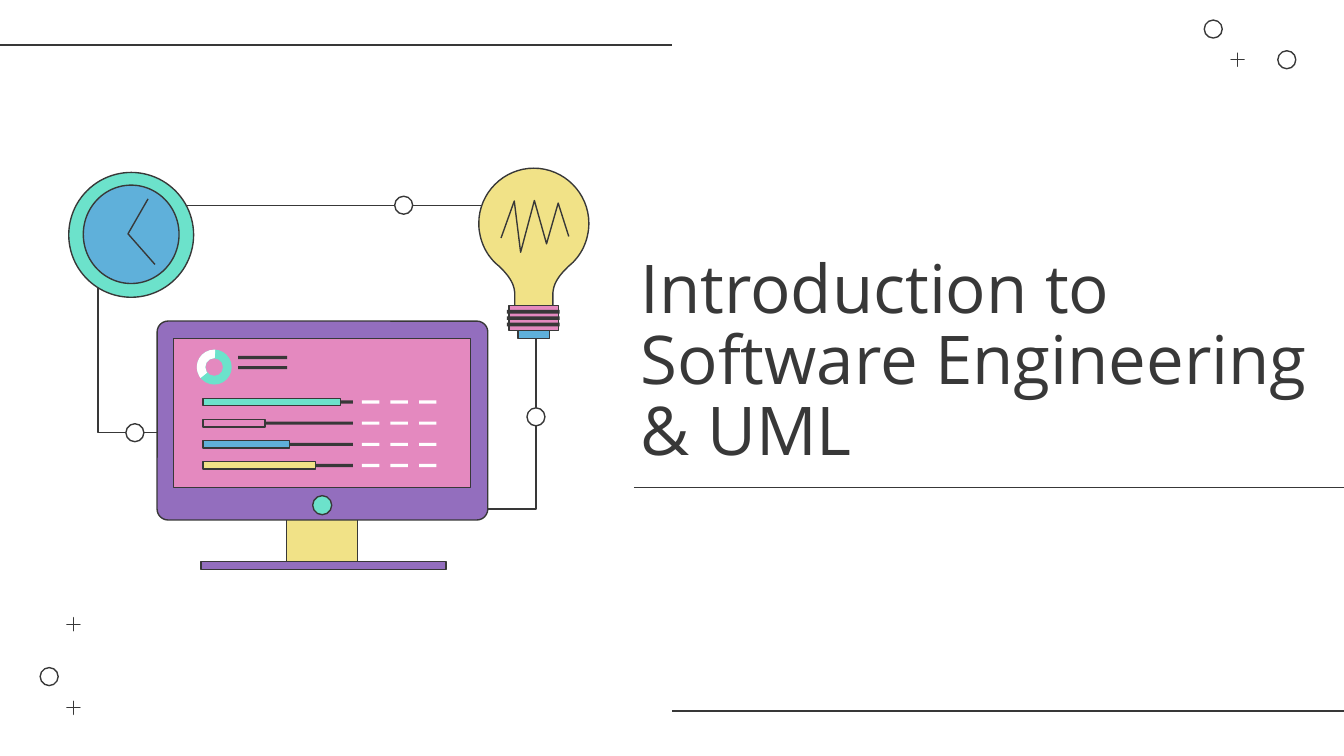
from dataclasses import dataclass

from lxml import etree
from pptx import Presentation
from pptx.dml.color import RGBColor
from pptx.enum.shapes import MSO_CONNECTOR, MSO_SHAPE
from pptx.enum.text import MSO_ANCHOR
from pptx.oxml.ns import qn
from pptx.util import Cm, Pt

RECT, OVAL, PLUS = MSO_SHAPE.RECTANGLE, MSO_SHAPE.OVAL, MSO_SHAPE.MATH_PLUS
ROUNDED, DONUT, ARC = MSO_SHAPE.ROUNDED_RECTANGLE, MSO_SHAPE.DONUT, MSO_SHAPE.BLOCK_ARC
STRAIGHT = MSO_CONNECTOR.STRAIGHT
BOTTOM = MSO_ANCHOR.BOTTOM

INK, WHITE = "383838", "FFFFFF"
TEAL, BLUE, PINK = "6CE2CB", "5FB0DA", "E489BF"
YELLOW, PURPLE = "F1E287", "936EBE"
MARK = 0.34  # size of the small circles and plus signs

Point = tuple[float, float]


@dataclass
class Mark:
    kind: int
    left: float
    top: float


@dataclass
class ProgressRow:
    width: float
    color: str


TOP_MARKS = [Mark(OVAL, 22.76, 0.38), Mark(PLUS, 23.22, 0.96), Mark(OVAL, 24.15, 0.96)]
BOTTOM_MARKS = [Mark(OVAL, 0.76, 12.62), Mark(PLUS, 1.22, 13.21), Mark(PLUS, 1.22, 11.63)]
ROWS = [ProgressRow(2.6, TEAL), ProgressRow(1.17, PINK),
        ProgressRow(1.63, BLUE), ProgressRow(2.13, YELLOW)]


def rgb(color: str) -> RGBColor:
    return RGBColor.from_string(color)


def style(sp, fill: str | None, line: str | None) -> None:
    sp.shadow.inherit = False
    if fill:
        sp.fill.solid()
        sp.fill.fore_color.rgb = rgb(fill)
    else:
        sp.fill.background()
    if line:
        sp.line.color.rgb = rgb(line)
        sp.line.width = Pt(0.75)
    else:
        sp.line.fill.background()


def add_shape(shapes, kind: int, left: float, top: float, width: float, height: float,
              fill: str | None = None, line: str | None = INK,
              adjust: tuple[float, ...] = ()):
    sp = shapes.add_shape(kind, Cm(left), Cm(top), Cm(width), Cm(height))
    for i, value in enumerate(adjust):
        sp.adjustments[i] = value
    style(sp, fill, line)
    return sp


def add_oval(shapes, cx: float, cy: float, width: float, height: float, fill: str):
    return add_shape(shapes, OVAL, cx - width / 2, cy - height / 2, width, height, fill)


def add_line(shapes, x1: float, y1: float, x2: float, y2: float) -> None:
    line = shapes.add_connector(STRAIGHT, Cm(x1), Cm(y1), Cm(x2), Cm(y2))
    line.line.color.rgb = rgb(INK)
    line.line.width = Pt(0.75)
    etree.SubElement(line._element.spPr, qn("a:effectLst"))


def add_path(shapes, points: list[Point], fill: str | None = None) -> None:
    emu = [(Cm(x), Cm(y)) for x, y in points]
    builder = shapes.build_freeform(*emu[0])
    builder.add_line_segments(emu[1:], close=fill is not None)
    style(builder.convert_to_shape(), fill, INK)


def curve(p0: Point, p1: Point, p2: Point, p3: Point, steps: int = 16) -> list[Point]:
    """Points along a cubic Bezier curve."""
    points = []
    for i in range(steps + 1):
        t = i / steps
        weights = ((1 - t) ** 3, 3 * t * (1 - t) ** 2, 3 * t * t * (1 - t), t ** 3)
        points.append(tuple(sum(w * p[k] for w, p in zip(weights, (p0, p1, p2, p3)))
                            for k in (0, 1)))
    return points


def add_marks(s, marks: list[Mark]) -> None:
    shapes = s.shapes.add_group_shape().shapes
    for m in marks:
        add_shape(shapes, m.kind, m.left, m.top, MARK, MARK,
                  adjust=(0,) if m.kind == PLUS else ())


def add_title(s, text: str) -> None:
    tf = s.shapes.add_textbox(Cm(11.86), Cm(2.08), Cm(13.21), Cm(6.93)).text_frame
    tf.word_wrap = True
    tf.vertical_anchor = BOTTOM
    tf.margin_left = tf.margin_right = tf.margin_top = Cm(0.25)
    tf.margin_bottom = Cm(0.14)
    p = tf.paragraphs[0]
    p.text = text
    p.line_spacing = 0.88
    p.font.name = "Open Sans"
    p.font.size = Pt(36)
    p.font.color.rgb = rgb(INK)


def draw_links(shapes) -> None:
    add_line(shapes, 3.53, 3.88, 9.6, 3.88)
    add_path(shapes, [(8.13, 9.62), (10.13, 9.62), (10.13, 5.61)])
    add_path(shapes, [(1.85, 5.36), (1.85, 8.18), (5.08, 8.18)])
    for cx, cy in [(2.55, 8.18), (7.63, 3.88), (10.13, 7.88)]:
        add_oval(shapes, cx, cy, MARK, MARK, WHITE)


def draw_monitor(shapes) -> None:
    add_shape(shapes, RECT, 5.42, 9.6, 1.34, 1.04, YELLOW)
    add_shape(shapes, RECT, 3.8, 10.62, 4.63, 0.15, PURPLE)
    add_shape(shapes, ROUNDED, 2.97, 6.07, 6.25, 3.76, PURPLE, adjust=(0.055,))
    add_shape(shapes, RECT, 3.28, 6.4, 5.61, 2.82, PINK)
    add_oval(shapes, 6.09, 9.55, 0.36, 0.36, TEAL)


def draw_bulb(shapes) -> None:
    axis = 10.09
    # Right half of the outline, as distances from the axis
    half = (curve((0, 3.18), (0.57, 3.18), (1.04, 3.65), (1.04, 4.22))
            + curve((1.04, 4.22), (1.04, 4.55), (0.89, 4.85), (0.66, 5.03))
            + curve((0.66, 5.03), (0.58, 5.11), (0.51, 5.18), (0.46, 5.26))
            + curve((0.46, 5.26), (0.4, 5.35), (0.36, 5.45), (0.36, 5.57))
            + [(0.36, 5.81)])
    right = [(axis + x, y) for x, y in half]
    left = [(axis - x, y) for x, y in reversed(half)]
    add_path(shapes, right + left[:-1], YELLOW)
    # Socket with its dark bands
    add_shape(shapes, RECT, 9.79, 6.2, 0.6, 0.2, BLUE)
    add_shape(shapes, RECT, 9.62, 5.78, 0.94, 0.47, PINK)
    for i in range(3):
        add_shape(shapes, RECT, 9.58, 5.86 + 0.12 * i, 1, 0.07, INK, None)
    # Filament
    add_path(shapes, [(9.47, 4.5), (9.72, 3.8), (9.84, 4.77), (10.1, 3.79),
                      (10.33, 4.61), (10.55, 3.84), (10.75, 4.47)])


def draw_clock(shapes) -> None:
    add_oval(shapes, 2.48, 4.44, 2.36, 2.36, TEAL)
    add_oval(shapes, 2.48, 4.43, 1.81, 1.86, BLUE)
    add_path(shapes, [(2.8, 3.76), (2.42, 4.42), (2.93, 5)])


def draw_dashboard(shapes) -> None:
    # Ring and caption
    add_shape(shapes, DONUT, 3.72, 6.61, 0.66, 0.66, TEAL, None, (0.25,))
    add_shape(shapes, ARC, 3.72, 6.61, 0.66, 0.66, WHITE, None, (84.95, 163.995, 0.245))
    for top in (6.73, 6.92):
        add_shape(shapes, RECT, 4.5, top, 0.93, 0.06, INK, None)
    # Progress rows
    for i, row in enumerate(ROWS):
        cy = 7.6 + 0.4 * i
        add_shape(shapes, RECT, 4.17, cy - 0.03, 2.5, 0.06, INK, None)
        for j in range(3):
            add_shape(shapes, RECT, 6.84 + 0.54 * j, cy - 0.03, 0.33, 0.06, WHITE, None)
        add_shape(shapes, RECT, 3.84, cy - 0.07, row.width, 0.14, row.color)


def main() -> None:
    prs = Presentation()
    prs.slide_width, prs.slide_height = Cm(25.4), Cm(14.29)
    s = prs.slides.add_slide(prs.slide_layouts[6])

    # Title and rules
    add_line(s.shapes, 11.98, 9.22, 25.68, 9.22)
    add_title(s, "Introduction to Software Engineering & UML")
    add_line(s.shapes, 0, 0.85, 12.7, 0.85)
    add_line(s.shapes, 12.7, 13.44, 25.4, 13.44)

    # Corner decoration
    add_marks(s, TOP_MARKS)
    add_marks(s, BOTTOM_MARKS)

    # Illustration
    shapes = s.shapes.add_group_shape().shapes
    for draw in (draw_links, draw_monitor, draw_bulb, draw_clock, draw_dashboard):
        draw(shapes)

    prs.save("out.pptx")


if __name__ == "__main__":
    main()
